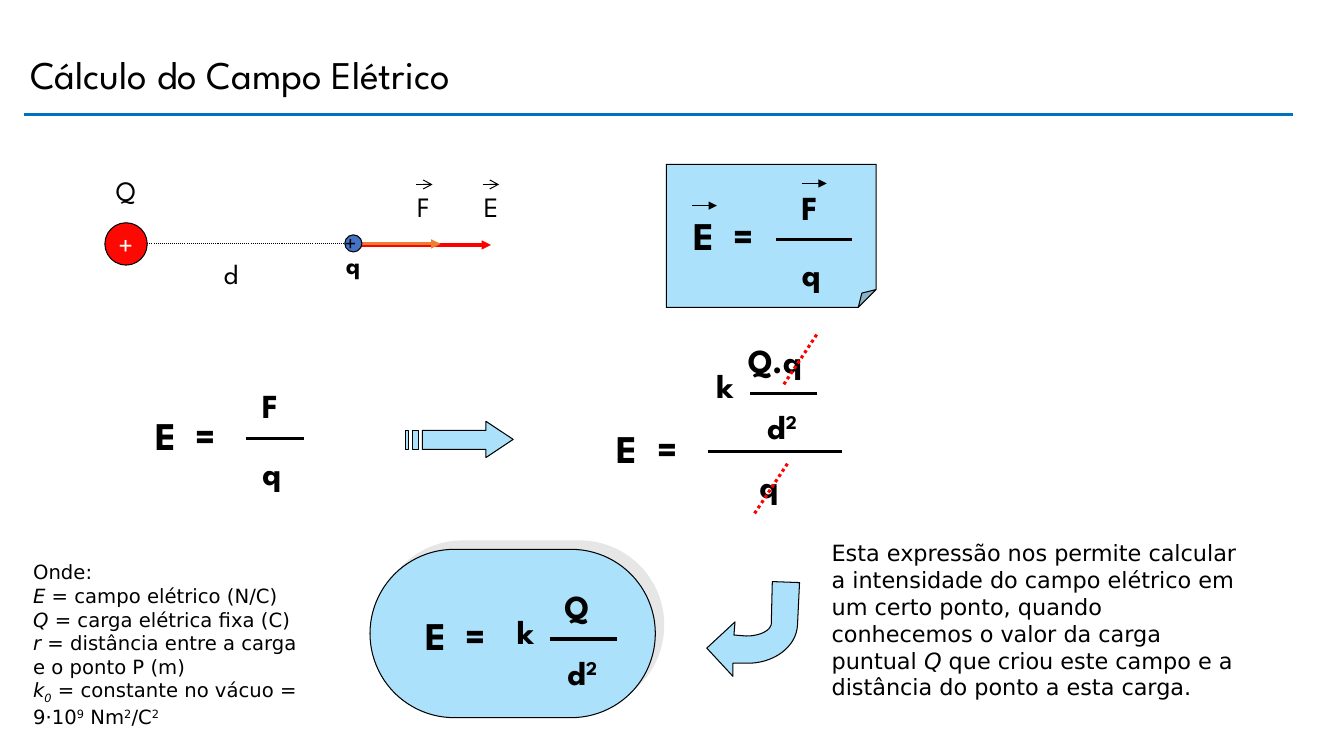
from lxml import etree
from pptx import Presentation
from pptx.dml.color import RGBColor
from pptx.enum.dml import MSO_LINE
from pptx.enum.shapes import MSO_CONNECTOR, MSO_SHAPE as Preset
from pptx.enum.text import MSO_ANCHOR as Anchor, MSO_AUTO_SIZE as AutoSize, PP_ALIGN as Align
from pptx.oxml.ns import qn
from pptx.util import Inches, Pt

COLORS = {"black": "000000", "white": "FFFFFF", "rule": "0070C0", "panel": "ABE1FA", "shade": "E7E6E6",
          "red": "FD0903", "field": "FF0000", "force": "ED7D31", "probe": "4472C4"}
SPARTAN, DEJAVU = "League Spartan", "DejaVu Sans"
STYLES = {"": {}, "italic": {"i": "1"}, "sup": {"baseline": "30000"},
          "italic sub": {"i": "1", "baseline": "-25000"}}
SQUARED = [("d", ""), ("2", "sup")]

def color(name):
    """Return the named palette colour."""
    return RGBColor.from_string(COLORS[name])

def write(paragraph, content, size, font=SPARTAN, bold=False, ink="black"):
    """Fill a paragraph with plain text or (text, style) runs."""
    for words, style in [(content, "")] if isinstance(content, str) else content:
        run = paragraph.add_run()
        run.text = words
        run._r.get_or_add_rPr().attrib.update(STYLES[style])
    paragraph.font.name, paragraph.font.size = font, Pt(size)
    paragraph.font.bold = bold
    paragraph.font.color.rgb = color(ink)

def label(slide, content, x, y, w, h, size=20, bold=False):
    """Place a one-line text box that does not wrap."""
    frame = slide.shapes.add_textbox(*map(Inches, (x, y, w, h))).text_frame
    frame.word_wrap = False
    frame.auto_size = AutoSize.SHAPE_TO_FIT_TEXT
    write(frame.paragraphs[0], content, size, bold=bold)

def passage(slide, paragraphs, x, y, w, h, size):
    """Place wrapped running text, one entry per paragraph."""
    frame = slide.shapes.add_textbox(*map(Inches, (x, y, w, h))).text_frame
    frame.word_wrap = True
    for i, content in enumerate(paragraphs):
        write(frame.add_paragraph() if i else frame.paragraphs[0], content, size, DEJAVU)

def line(slide, x1, y1, x2, y2, ink="black", weight=2.25, dotted=False, head=None, tail=None):
    """Draw a straight line with optional dots and end marks."""
    stroke = slide.shapes.add_connector(MSO_CONNECTOR.STRAIGHT, *map(Inches, (x1, y1, x2, y2)))
    stroke.line.color.rgb = color(ink)
    stroke.line.width = Pt(weight)
    if dotted:
        stroke.line.dash_style = MSO_LINE.ROUND_DOT
    properties = stroke._element.spPr
    for tag, kind in (("a:headEnd", head), ("a:tailEnd", tail)):
        if kind:
            etree.SubElement(properties.find(qn("a:ln")), qn(tag), type=kind)
    etree.SubElement(properties, qn("a:effectLst"))

def paint(shape, fill="panel"):
    """Give a shape a flat fill and a thin black outline."""
    shape.shadow.inherit = False
    shape.fill.solid()
    shape.fill.fore_color.rgb = color(fill)
    shape.line.color.rgb = color("black")
    shape.line.width = Pt(0.75)
    return shape

def solid(slide, preset, x, y, w, h, fill="panel"):
    """Add a painted preset shape."""
    return paint(slide.shapes.add_shape(preset, *map(Inches, (x, y, w, h))), fill)

def outline(slide, x, y, contours):
    """Draw closed contours given in inches from the corner x, y."""
    placed = [[(Inches(x + dx), Inches(y + dy)) for dx, dy in contour] for contour in contours]
    builder = slide.shapes.build_freeform(*placed[0][0])
    for i, (start, *rest) in enumerate(placed):
        if i:
            builder.move_to(*start)
        builder.add_line_segments(rest, close=True)
    paint(builder.convert_to_shape())

def bezier(a, b, c, d, steps=16):
    """Return points along a cubic curve after its start."""
    return [tuple((1 - t) ** 3 * p + 3 * t * (1 - t) ** 2 * q + 3 * t * t * (1 - t) * r + t ** 3 * s
                  for p, q, r, s in zip(a, b, c, d)) for t in (i / steps for i in range(1, steps + 1))]

def fraction(slide, x, y, w, top, bottom, top_x, bottom_x):
    """Draw a fraction whose bar starts at x, y."""
    if top:
        label(slide, top, x + top_x, y - 0.58, 0.4 + 0.17 * (len(top) - 1), 0.51, 24, True)
    label(slide, bottom, x + bottom_x, y + 0.08, 0.4 if bottom == "q" else 0.54, 0.51, 24, True)
    line(slide, x, y, x + w, y)

def coulomb(slide, x, y, top, top_x):
    """Draw k times a fraction over d squared, with its bar at y."""
    label(slide, "k", x, y - 0.33, 0.38, 0.51, 24, True)
    fraction(slide, x + 0.43, y, 0.66, top, SQUARED, top_x, 0.07)

def field_equals(slide, x, y):
    """Write the left side of an equation whose main bar lies at y."""
    frame = slide.shapes.add_textbox(*map(Inches, (x, y - 0.32, 1.89, 0.57))).text_frame
    frame.word_wrap = True
    paragraph = frame.paragraphs[0]
    stops = etree.SubElement(paragraph._p.get_or_add_pPr(), qn("a:tabLst"))
    etree.SubElement(stops, qn("a:tab"), pos=str(Inches(0.4)), algn="l")
    write(paragraph, "E\t=", 28, bold=True)

def heading(slide, x, y):
    """Place the title and the rule under it."""
    frame = slide.shapes.add_textbox(*map(Inches, (x, y, 7.46, 0.88))).text_frame
    frame.word_wrap = True
    frame.vertical_anchor = Anchor.MIDDLE
    frame.paragraphs[0].line_spacing = 0.9
    write(frame.paragraphs[0], "Cálculo do Campo Elétrico", 28)
    line(slide, x + 0.04, y + 0.82, x + 12.62, y + 0.82, "rule")

def charges(slide, x, y):
    """Draw the source charge, the test charge and its vectors along y."""
    line(slide, x + 0.16, y, x + 2.42, y, weight=0.75, dotted=True, head="oval", tail="oval")
    label(slide, "d", x + 1.08, y + 0.08, 0.38, 0.43)
    source = solid(slide, Preset.OVAL, x, y - 0.21, 0.42, 0.42, "red").text_frame
    source.word_wrap = False
    source.vertical_anchor = Anchor.MIDDLE
    source.paragraphs[0].alignment = Align.CENTER
    write(source.paragraphs[0], "+", 20, ink="white")
    label(slide, "Q", x + 0.01, y - 0.75, 0.42, 0.43)
    for name, name_x, start, end, dy, ink in (("E", 3.66, 2.41, 3.83, 0.01, "field"),
                                              ("F", 3.0, 2.5, 3.33, 0, "force")):
        label(slide, name, x + name_x, y - 0.59, 0.37, 0.43)
        line(slide, x + name_x + 0.09, y - 0.59, x + name_x + 0.25, y - 0.59, weight=0.75, tail="arrow")
        line(slide, x + start, y + dy, x + end, y + dy, ink, tail="triangle")
    solid(slide, Preset.OVAL, x + 2.38, y - 0.09, 0.17, 0.17, "probe")
    label(slide, "+", x + 2.28, y - 0.2, 0.34, 0.37, 16)
    label(slide, "q", x + 2.29, y, 0.35, 0.4, 18, True)

def definition(slide, x, y):
    """Place the note that defines the field vector."""
    note = solid(slide, Preset.FOLDED_CORNER, x, y, 2.08, 1.42)
    fold = note._element.spPr.find(qn("a:prstGeom")).find(qn("a:avLst"))
    etree.SubElement(fold, qn("a:gd"), name="adj", fmla="val 12500")
    field_equals(slide, x + 0.17, y + 0.74)
    fraction(slide, x + 1.09, y + 0.75, 0.75, "F", "q", 0.15, 0.15)
    for dx, dy in ((0.25, 0.41), (1.34, 0.19)):
        line(slide, x + dx, y + dy, x + dx + 0.25, y + dy, weight=0.75, tail="triangle")

def substitution(slide, x, y):
    """Derive the field by replacing the force and cancelling q."""
    field_equals(slide, x, y)
    fraction(slide, x + 1, y, 0.58, "F", "q", 0.06, 0.06)
    body = [(0.8, 0), (0.8, 0.09), (0.17, 0.09), (0.17, 0.28), (0.8, 0.28), (0.8, 0.36), (1.07, 0.18)]
    stripes = [[(a, 0.09), (a, 0.28), (b, 0.28), (b, 0.09)] for a, b in ((0.07, 0.13), (0, 0.03))]
    outline(slide, x + 2.58, y - 0.17, [body, *stripes])
    coulomb(slide, x + 5.57, y - 0.45, "Q.q", -0.12)
    field_equals(slide, x + 4.58, y + 0.13)
    fraction(slide, x + 5.58, y + 0.13, 1.33, None, "q", 0, 0.41)
    for dx, dy in ((6.66, -1.03), (6.37, 0.25)):
        line(slide, x + dx, y + dy, x + dx - 0.33, y + dy + 0.5, "field", dotted=True)

def result(slide, x, y):
    """Place the final expression in its shaded capsule."""
    capsule = solid(slide, Preset.ROUNDED_RECTANGLE, x, y, 2.83, 1.67)
    capsule.adjustments[0] = 0.5
    shade = etree.SubElement(capsule._element.spPr.find(qn("a:effectLst")), qn("a:outerShdw"),
                             dist=str(Pt(8.5)), dir=str(315 * 60000), algn="ctr", rotWithShape="0")
    etree.SubElement(shade, qn("a:srgbClr"), val=COLORS["shade"])
    field_equals(slide, x + 0.45, y + 0.89)
    coulomb(slide, x + 1.36, y + 0.89, "Q", 0.04)

def remark(slide, x, y):
    """Place the closing remark and the bent arrow that leaves it."""
    outer = bezier((0.38, 0.81), (0.66, 0.82), (0.89, 0.65), (0.9, 0.43))
    inner = bezier((0.64, 0.42), (0.63, 0.49), (0.52, 0.54), (0.39, 0.54))
    outline(slide, x, y + 0.47, [[(0, 0.66), (0.26, 0.94), (0.26, 0.81), (0.38, 0.81), *outer, (0.92, 0.01),
                                  (0.65, 0), (0.64, 0.42), *inner, (0.27, 0.53), (0.28, 0.4)]])
    passage(slide, [[("Esta expressão nos permite calcular a intensidade do campo elétrico em um certo ponto, "
                      "quando conhecemos o valor da carga puntual ", ""), ("Q", "italic"),
                     (" que criou este campo e a distância do ponto a esta carga.", "")]],
            x + 1.14, y, 4.22, 1.97, 16)

def legend(slide, x, y):
    """List the meaning of each symbol."""
    meanings = (("E", "campo elétrico (N/C)"), ("Q", "carga elétrica fixa (C)"),
                ("r", "distância entre a carga e o ponto P (m)"))
    passage(slide, ["Onde:", *([(symbol, "italic"), (f" = {meaning}", "")] for symbol, meaning in meanings),
                    [("k", "italic"), ("0", "italic sub"), (" = constante no vácuo =", "")],
                    [("9⋅10", ""), ("9", "sup"), (" Nm", ""), ("2", "sup"), ("/C", ""), ("2", "sup")]],
            x, y, 2.89, 1.75, 14)

deck = Presentation()
deck.slide_width, deck.slide_height = Inches(13.33), Inches(7.5)
page = deck.slides.add_slide(deck.slide_layouts[6])
for region, left, top in ((heading, 0.2, 0.32), (charges, 1.04, 2.42), (definition, 6.61, 1.63),
                          (substitution, 1.44, 4.35), (result, 3.67, 5.45), (remark, 7.01, 5.3),
                          (legend, 0.23, 5.51)):
    region(page, left, top)
deck.save("out.pptx")
